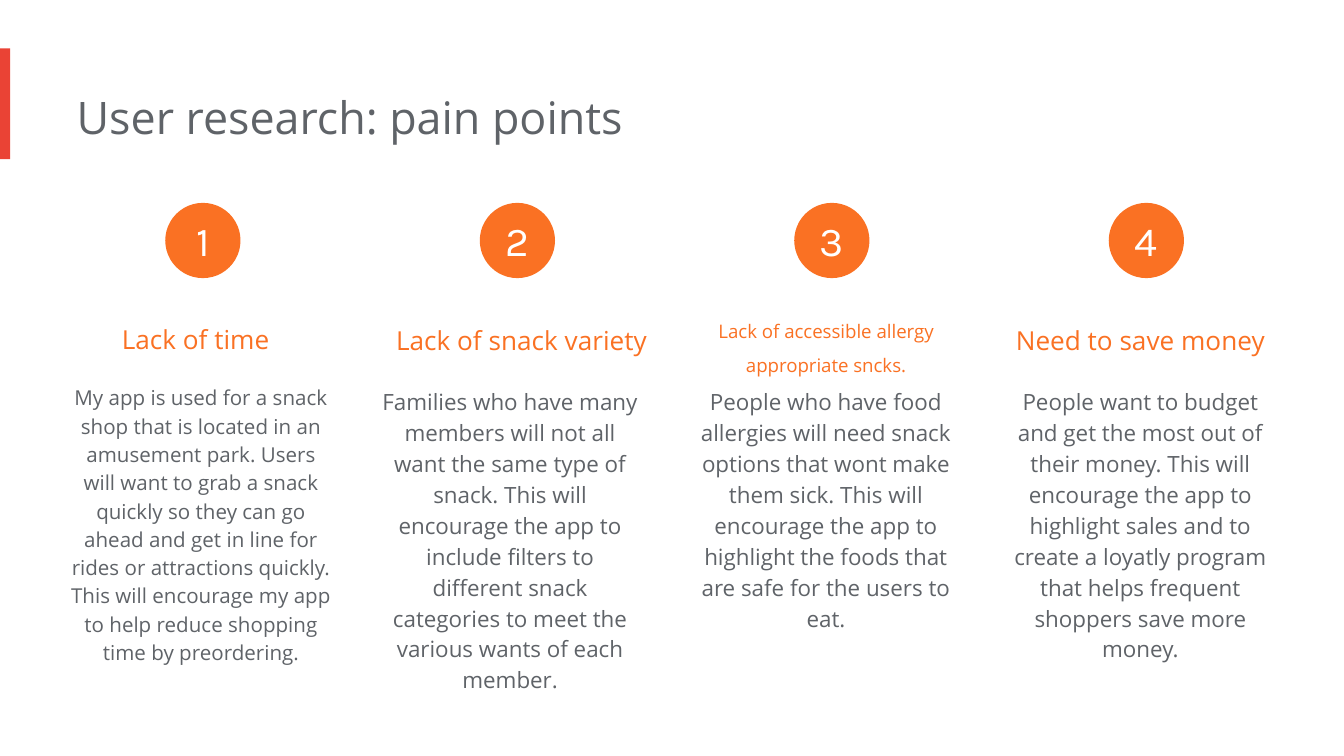
from pptx import Presentation
from pptx.dml.color import RGBColor
from pptx.enum.shapes import MSO_SHAPE
from pptx.enum.text import MSO_ANCHOR, MSO_AUTO_SIZE, PP_ALIGN
from pptx.util import Pt

PX = 4572
RED = RGBColor(0xEA, 0x43, 0x35)
ORANGE = RGBColor(0xFA, 0x71, 0x23)
GRAY = RGBColor(0x5F, 0x63, 0x68)
WHITE = RGBColor(0xFF, 0xFF, 0xFF)
RECT, OVAL = MSO_SHAPE.RECTANGLE, MSO_SHAPE.OVAL
TOP, MIDDLE = MSO_ANCHOR.TOP, MSO_ANCHOR.MIDDLE
LEFT, CENTER = PP_ALIGN.LEFT, PP_ALIGN.CENTER
FIT_SHAPE = MSO_AUTO_SIZE.SHAPE_TO_FIT_TEXT


def add_filled(kind, x, y, w, h, color):
    sp = s.shapes.add_shape(kind, x * PX, y * PX, w * PX, h * PX)
    sp.fill.solid()
    sp.fill.fore_color.rgb = color
    sp.line.fill.background()
    sp.shadow.inherit = False
    return sp


def set_text(sp, text, size, color, align=CENTER, spacing=1.0,
             font="Open Sans", anchor=TOP, inset=20):
    tf = sp.text_frame
    tf.text = text
    tf.word_wrap = True
    tf.vertical_anchor = anchor
    tf.margin_left = 0
    tf.margin_top = tf.margin_right = tf.margin_bottom = inset * PX
    p = tf.paragraphs[0]
    p.alignment = align
    p.line_spacing = spacing
    r = p.runs[0]
    r.font.name = font
    r.font.size = Pt(size)
    r.font.color.rgb = color


prs = Presentation()
prs.slide_width = 2000 * PX
prs.slide_height = 1125 * PX
s = prs.slides.add_slide(prs.slide_layouts[5])

add_filled(RECT, 0, 72, 15, 165, RED)

title = s.shapes.title
title.left, title.top = 114 * PX, 114 * PX
title.width, title.height = 1346 * PX, 122 * PX
set_text(title, "User research: pain points", 24, GRAY, align=LEFT)
title.text_frame.auto_size = FIT_SHAPE

HEAD_H, BODY_W = 112, 410
pain_points = [
    ("Lack of time", 14, (96, 438, 410),
     "My app is used for a snack shop that is located in an amusement park. "
     "Users will want to grab a snack quickly so they can go ahead and get in "
     "line for rides or attractions quickly. This will encourage my app to "
     "help reduce shopping time by preordering.", 11, (104, 548, 466)),
    ("Lack of snack variety", 14, (564, 440, 444),
     "Families who have many members will not all want the same type of snack. "
     "This will encourage the app to include filters to different snack "
     "categories to meet the various wants of each member.", 12, (564, 552, 504)),
    ("Lack of accessible allergy appropriate sncks.", 10, (1034, 440, 410),
     "People who have food allergies will need snack options that wont make "
     "them sick. This will encourage the app to highlight the foods that are "
     "safe for the users to eat.", 12, (1034, 552, 412)),
    ("Need to save money", 14, (1502, 440, 410),
     "People want to budget and get the most out of their money. This will "
     "encourage the app to highlight sales and to create a loyatly program "
     "that helps frequent shoppers save more money.", 12, (1502, 552, 458)),
]

for i, (head, head_size, head_at, body, body_size, body_at) in enumerate(pain_points):
    x, y, w = head_at
    sp = s.shapes.add_textbox(x * PX, y * PX, w * PX, HEAD_H * PX)
    set_text(sp, head, head_size, ORANGE, spacing=1.5)
    sp.text_frame.auto_size = FIT_SHAPE

    x, y, h = body_at
    sp = s.shapes.add_textbox(x * PX, y * PX, BODY_W * PX, h * PX)
    set_text(sp, body, body_size, GRAY, spacing=1.15)
    sp.text_frame.auto_size = FIT_SHAPE

    sp = add_filled(OVAL, 246 + 468 * i, 302, 112, 112, ORANGE)
    set_text(sp, str(i + 1), 22, WHITE, font="Karla", anchor=MIDDLE, inset=0)

prs.save("out.pptx")
